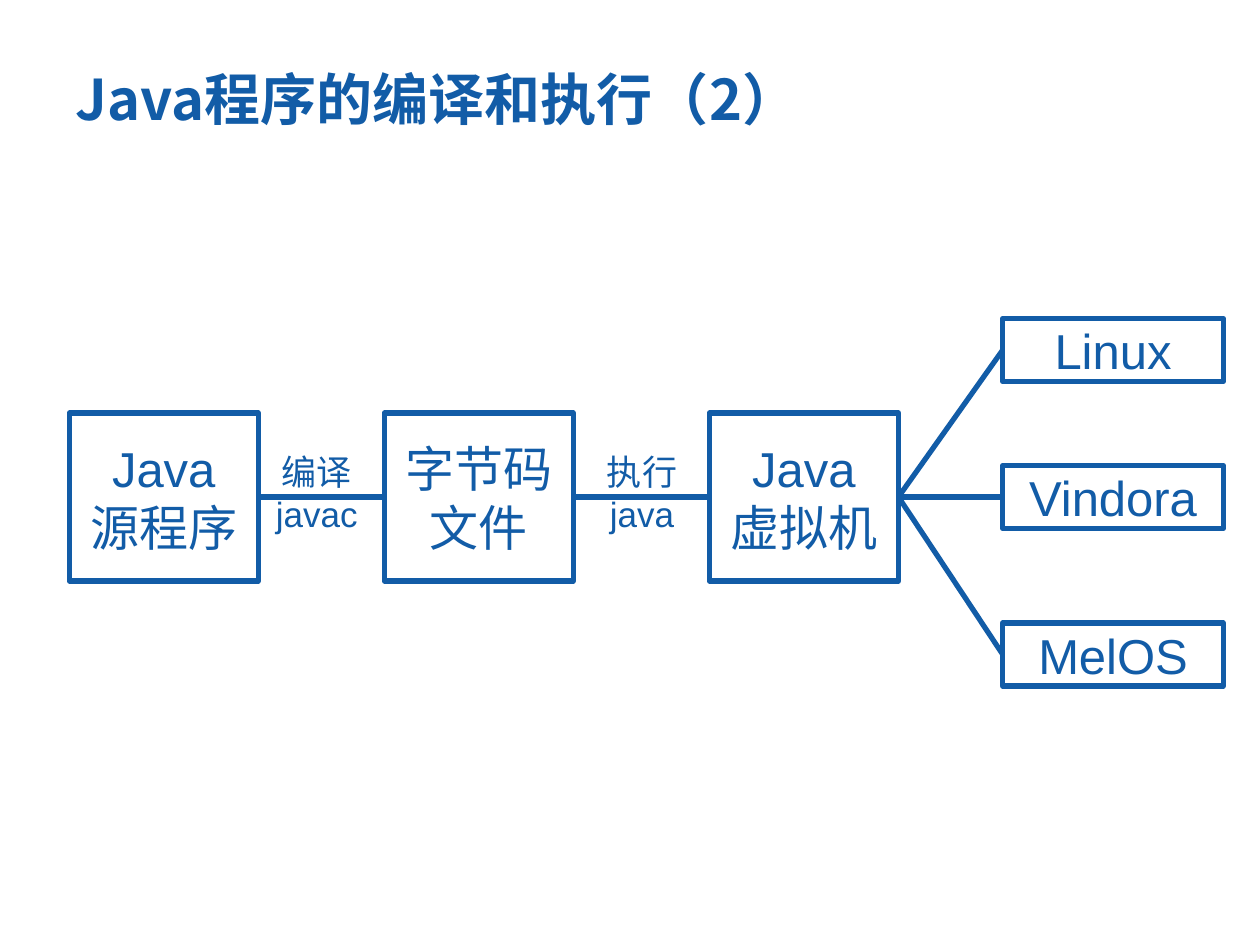
from lxml.etree import SubElement
from pptx import Presentation
from pptx.dml.color import RGBColor
from pptx.enum.shapes import MSO_CONNECTOR, MSO_SHAPE
from pptx.enum.text import MSO_ANCHOR, MSO_AUTO_SIZE, PP_ALIGN
from pptx.oxml.ns import qn
from pptx.util import Pt

COLORS = {"blue": "125CA7"}
BLUE = RGBColor.from_string(COLORS["blue"])
HAN = "Noto Sans CJK SC"
MID = 284  # height of the main flow line


def write(frame, text, size=28, font="Arial", bold=False,
          align=PP_ALIGN.CENTER, anchor=MSO_ANCHOR.MIDDLE, wrap=True,
          spacing=None):
    frame.auto_size = MSO_AUTO_SIZE.NONE
    frame.word_wrap = wrap
    frame.vertical_anchor = anchor
    frame.text = text
    for para in frame.paragraphs:
        para.alignment = align
        para.line_spacing = spacing
        for run in para.runs:
            run.font.size = Pt(size)
            run.font.name = font
            run.font.bold = bold
            run.font.color.rgb = BLUE
            east = SubElement(run.font._element, qn("a:ea"))
            east.set("typeface", HAN)


def add_title(slide, text):
    title = slide.shapes.title
    title.left, title.top = Pt(36), Pt(21.6)
    title.width, title.height = Pt(648), Pt(74)
    write(title.text_frame, text, size=32, font=HAN, bold=True,
          align=PP_ALIGN.LEFT, spacing=0.9)


def add_box(slide, text, left, mid, width, height):
    box = slide.shapes.add_shape(MSO_SHAPE.RECTANGLE, Pt(left),
                                 Pt(mid - height / 2), Pt(width), Pt(height))
    box.shadow.inherit = False
    box.fill.background()
    box.line.color.rgb = BLUE
    box.line.width = Pt(3)
    write(box.text_frame, text, wrap=False)
    return box


def add_label(slide, text, left):
    label = slide.shapes.add_textbox(Pt(left), Pt(254), Pt(67), Pt(55))
    write(label.text_frame, text, size=20, anchor=MSO_ANCHOR.TOP)


def link(slide, start, end):
    """Join the right side of start to the left side of end."""
    line = slide.shapes.add_connector(MSO_CONNECTOR.STRAIGHT, 0, 0, 0, 0)
    line.begin_connect(start, 3)
    line.end_connect(end, 1)
    line.line.color.rgb = BLUE
    line.line.width = Pt(3)
    SubElement(line._element.spPr, qn("a:effectLst"))


def main():
    deck = Presentation()
    deck.slide_width, deck.slide_height = Pt(720), Pt(540)
    slide = deck.slides.add_slide(deck.slide_layouts[5])
    add_title(slide, "Java程序的编译和执行（2）")

    stages = [("Java\n源程序", 39.6), ("字节码\n文件", 219.6),
              ("Java\n虚拟机", 405.4)]
    flow = [add_box(slide, text, left, MID, 108, 96) for text, left in stages]
    systems = [("Linux", 200), ("Vindora", MID), ("MelOS", 374)]
    hosts = [add_box(slide, text, 573, mid, 126, 36) for text, mid in systems]

    for start, end in zip(flow, flow[1:]):
        link(slide, start, end)
    for host in hosts:
        link(slide, flow[-1], host)
    for text, left in [("编译\njavac", 147.6), ("执行\njava", 333.4)]:
        add_label(slide, text, left)

    deck.save("out.pptx")


if __name__ == "__main__":
    main()
